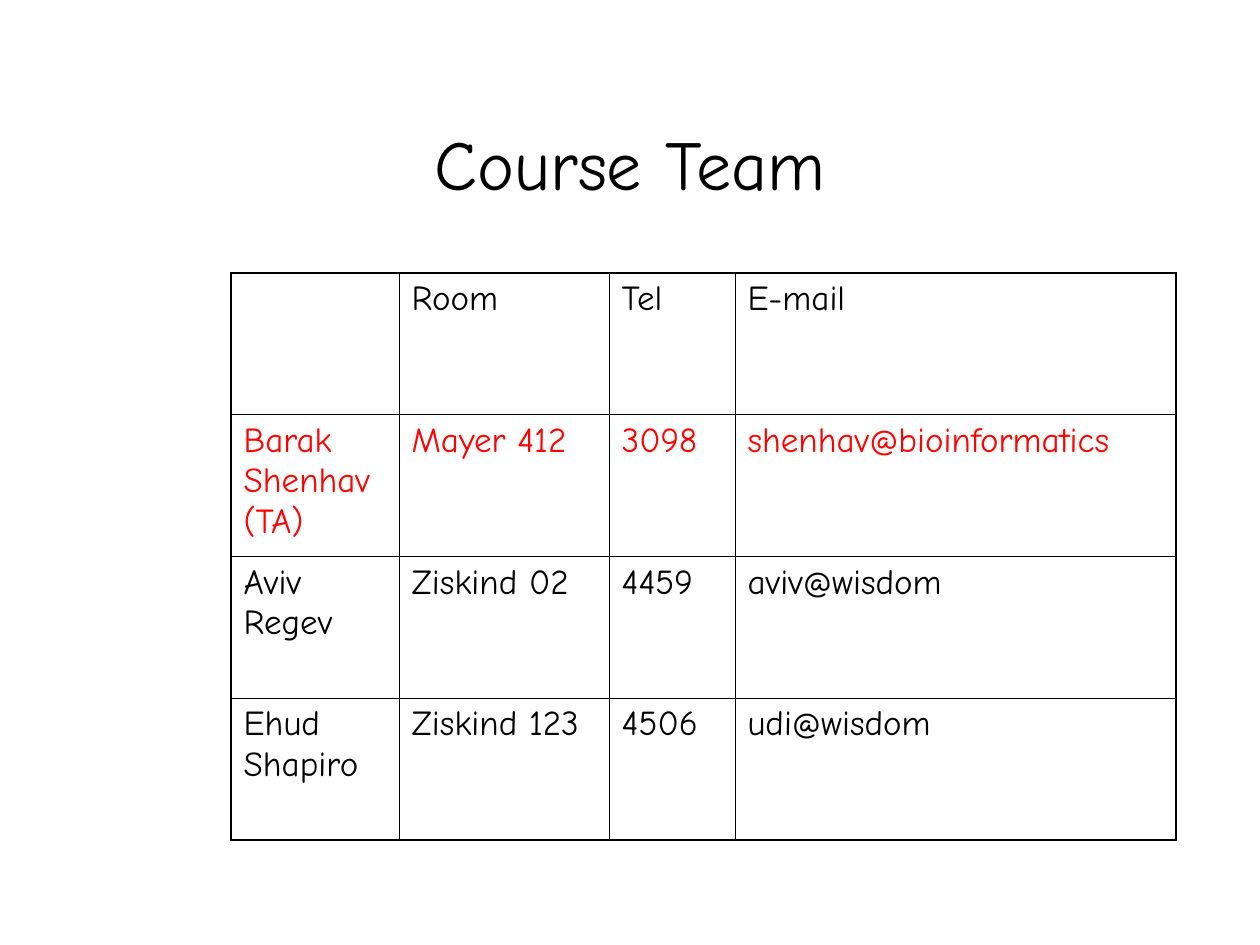
from dataclasses import dataclass

from lxml.etree import SubElement
from pptx import Presentation
from pptx.dml.color import RGBColor
from pptx.enum.text import MSO_ANCHOR, PP_ALIGN
from pptx.oxml.ns import qn
from pptx.util import Inches, Pt


@dataclass(frozen=True)
class Theme:
    font: str = "Comic Neue"
    ink: str = "000000"
    accent: str = "FF0000"
    title_size: int = 40
    cell_size: int = 20
    outer_line: float = 1.08
    inner_line: float = 0.45


THEME = Theme()
WIDTH, HEIGHT = Inches(10), Inches(7.5)
COLUMN_UNITS = (8, 10, 6, 21)  # sixths of an inch
ACCENT_ROW = 1
TEAM = (
    ("", "Room", "Tel", "E-mail"),
    ("Barak Shenhav (TA)", "Mayer 412", "3098", "shenhav@bioinformatics"),
    ("Aviv Regev", "Ziskind 02", "4459", "aviv@wisdom"),
    ("Ehud Shapiro", "Ziskind 123", "4506", "udi@wisdom"),
)


def write(tf, text, size, color, align=PP_ALIGN.LEFT):
    p = tf.paragraphs[0]
    p.text = text
    p.alignment = align
    p.font.name = THEME.font
    p.font.size = Pt(size)
    p.font.color.rgb = RGBColor.from_string(color)


def add_title(s, text):
    sp = s.shapes.add_textbox(int(WIDTH * 0.075), int(HEIGHT / 11.25),
                              int(WIDTH * 0.85), int(HEIGHT / 6))
    tf = sp.text_frame
    tf.word_wrap = True
    tf.vertical_anchor = MSO_ANCHOR.MIDDLE
    write(tf, text, THEME.title_size, THEME.ink, PP_ALIGN.CENTER)


def set_borders(cell, outer):
    """Draw all four sides, heavier where outer marks the table's edge."""
    tcPr = cell._tc.get_or_add_tcPr()
    for side in "LRTB":
        width = THEME.outer_line if outer[side] else THEME.inner_line
        ln = SubElement(tcPr, qn(f"a:ln{side}"), w=str(Pt(width)))
        fill = SubElement(ln, qn("a:solidFill"))
        SubElement(fill, qn("a:srgbClr"), val=THEME.ink)


def add_team_table(s, rows):
    n_rows, n_cols = len(rows), len(COLUMN_UNITS)
    unit = Inches(1) / 6
    table = s.shapes.add_table(n_rows, n_cols, int(11 * unit), int(13 * unit),
                               int(sum(COLUMN_UNITS) * unit), int(HEIGHT * 0.6)).table
    table.first_row = table.horz_banding = False
    for column, units in zip(table.columns, COLUMN_UNITS):
        column.width = int(units * unit)
    for i, row in enumerate(rows):
        color = THEME.accent if i == ACCENT_ROW else THEME.ink
        for j, text in enumerate(row):
            cell = table.cell(i, j)
            write(cell.text_frame, text, THEME.cell_size, color)
            set_borders(cell, {"L": j == 0, "R": j == n_cols - 1,
                               "T": i == 0, "B": i == n_rows - 1})
            cell.fill.background()


def main():
    prs = Presentation()
    prs.slide_width, prs.slide_height = WIDTH, HEIGHT
    s = prs.slides.add_slide(prs.slide_layouts[6])
    add_title(s, "Course Team")
    add_team_table(s, TEAM)
    prs.save("out.pptx")


if __name__ == "__main__":
    main()
